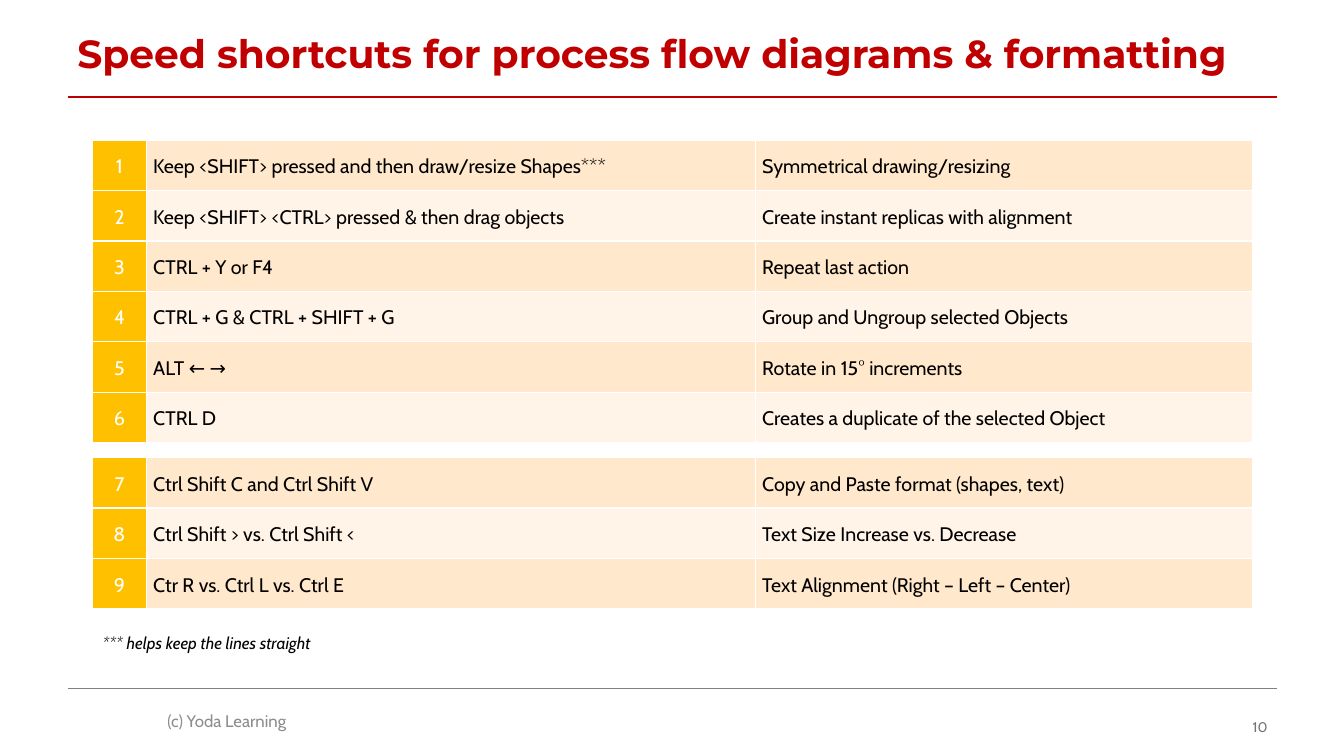
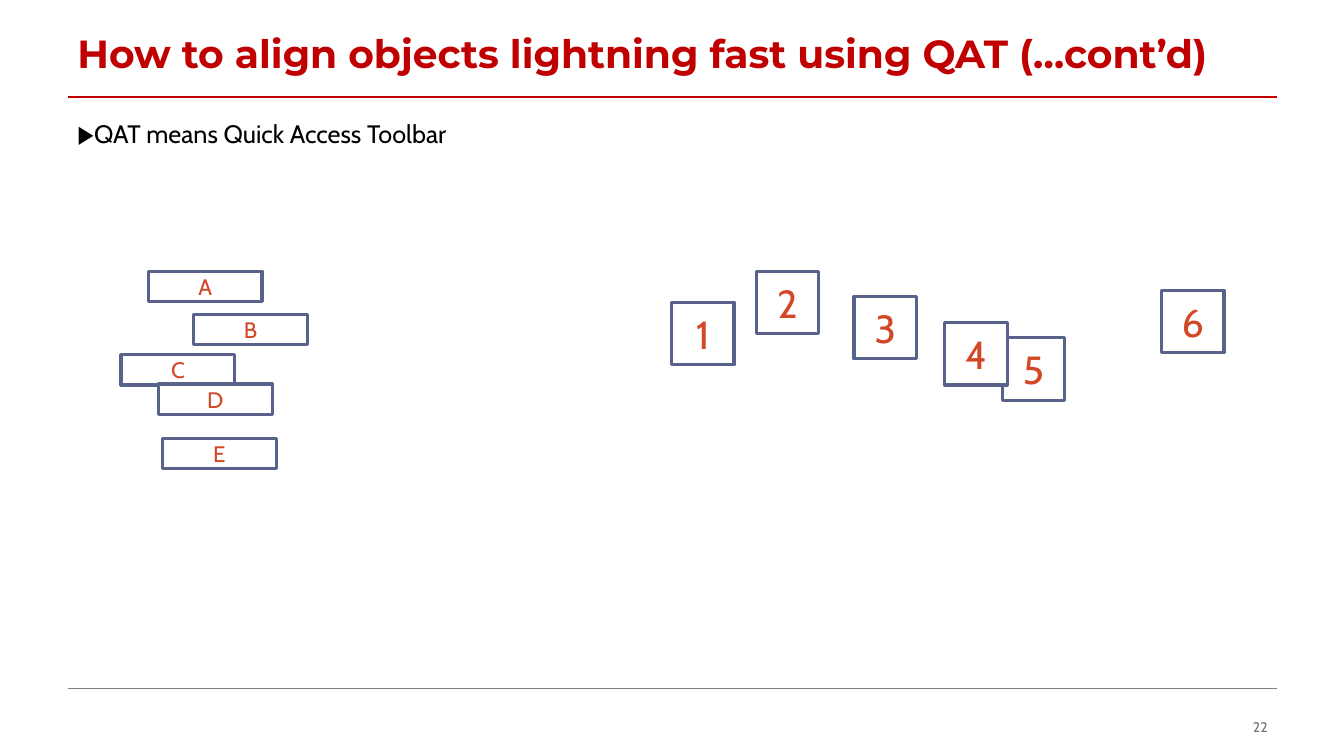
from lxml import etree
from pptx import Presentation
from pptx.dml.color import RGBColor
from pptx.enum import shapes, text
from pptx.oxml import ns
from pptx.util import Inches, Pt

HUES = {
    "red": "C00000", "grey": "808080", "page": "737373", "foot": "8C8C8C",
    "black": "000000", "white": "FFFFFF", "gold": "FFC000",
    "dark": "FFE8CC", "light": "FFF4E7", "edge": "58628B", "rust": "D24726",
}
LEFT, CENTER, RIGHT = (
    text.PP_ALIGN.LEFT, text.PP_ALIGN.CENTER, text.PP_ALIGN.RIGHT)
TOP, MIDDLE = text.MSO_ANCHOR.TOP, text.MSO_ANCHOR.MIDDLE
COLS = [0.53, 6.04, 4.93]
ROW = 0.5

DRAW = [
    ("Keep <SHIFT> pressed and then draw/resize Shapes***",
     "Symmetrical drawing/resizing"),
    ("Keep <SHIFT> <CTRL> pressed & then drag objects",
     "Create instant replicas with alignment"),
    ("CTRL + Y or F4", "Repeat last action"),
    ("CTRL + G & CTRL + SHIFT + G", "Group and Ungroup selected Objects"),
    ("ALT ← →", "Rotate in 15° increments"),
    ("CTRL D", "Creates a duplicate of the selected Object"),
]
FORMAT = [
    ("Ctrl Shift C and Ctrl Shift V", "Copy and Paste format (shapes, text)"),
    ("Ctrl Shift > vs. Ctrl Shift <", "Text Size Increase vs. Decrease"),
    ("Ctr R vs. Ctrl L vs. Ctrl E", "Text Alignment (Right – Left – Center)"),
]
BARS = [("A", 1.47, 2.69), ("B", 1.92, 3.12), ("C", 1.2, 3.52),
        ("D", 1.57, 3.81), ("E", 1.61, 4.35)]
TILES = [("1", 6.66, 3), ("6", 11.52, 2.88), ("5", 9.94, 3.35),
         ("4", 9.37, 3.2), ("3", 8.47, 2.94), ("2", 7.5, 2.69)]


def tint(name):
    return RGBColor.from_string(HUES[name])


def paint(item, name):
    item.fill.solid()
    item.fill.fore_color.rgb = tint(name)


def write(frame, words, size=14, font="Cabin", hue="black", bold=False,
          slant=False, align=LEFT, space=None):
    para = frame.paragraphs[0]
    para.alignment = align
    para.line_spacing = space
    run = para.add_run()
    run.text = words
    face = run.font
    face.name, face.size = font, Pt(size)
    face.bold, face.italic = bold, slant
    face.color.rgb = tint(hue)


def label(slide, words, spot, anchor=MIDDLE, wrap=True, **style):
    frame = slide.shapes.add_textbox(*map(Inches, spot)).text_frame
    frame.word_wrap = wrap
    frame.vertical_anchor = anchor
    write(frame, words, **style)


def rule(slide, y, hue, width):
    line = slide.shapes.add_connector(
        shapes.MSO_CONNECTOR.STRAIGHT,
        Inches(0.67), Inches(y), Inches(12.67), Inches(y))
    line.line.color.rgb = tint(hue)
    line.line.width = Pt(width)
    etree.SubElement(line._element.spPr, ns.qn("a:effectLst"))


def box(slide, words, spot, size):
    shape = slide.shapes.add_shape(
        shapes.MSO_SHAPE.RECTANGLE, *map(Inches, spot))
    shape.shadow.inherit = False
    paint(shape, "white")
    shape.line.color.rgb = tint("edge")
    shape.line.width = Pt(2.25)
    shape.text_frame.vertical_anchor = MIDDLE
    write(shape.text_frame, words, size=size, hue="rust", align=CENTER)


def border(cell):
    props = cell._tc.get_or_add_tcPr()
    for side in ("lnL", "lnR", "lnT", "lnB"):
        line = etree.SubElement(props, ns.qn("a:" + side), w=str(Pt(1)))
        fill = etree.SubElement(line, ns.qn("a:solidFill"))
        etree.SubElement(fill, ns.qn("a:srgbClr"), val=HUES["white"])


def fill_cell(cell, words, fill, **style):
    border(cell)
    paint(cell, fill)
    cell.vertical_anchor = MIDDLE
    cell.margin_left = cell.margin_right = Inches(0.07)
    cell.margin_top, cell.margin_bottom = Inches(0.01), 0
    write(cell.text_frame, words, space=1.07, **style)


def grid(slide, top, rows, first):
    spot = (0.92, top, sum(COLS), ROW * len(rows))
    table = slide.shapes.add_table(
        len(rows), len(COLS), *map(Inches, spot)).table
    table.first_row = table.horz_banding = False
    for col, width in zip(table.columns, COLS):
        col.width = Inches(width)
    for r, pair in enumerate(rows):
        table.rows[r].height = Inches(ROW)
        fill_cell(table.cell(r, 0), str(first + r), "gold",
                  hue="white", align=CENTER)
        for c, words in enumerate(pair, 1):
            fill_cell(table.cell(r, c), words, "light" if r % 2 else "dark")


def start(deck, title, page):
    slide = deck.slides.add_slide(deck.slide_layouts[6])
    rule(slide, 0.96, "red", 1.5)
    rule(slide, 6.83, "grey", 0.25)
    label(slide, title, (0.67, 0.22, 12, 0.67), size=28,
          font="Montserrat", hue="red", bold=True, space=0.9)
    label(slide, page, (9.67, 7.08, 3, 0.27), size=10, hue="page",
          align=RIGHT)
    return slide


def shortcuts(deck):
    slide = start(
        deck, "Speed shortcuts for process flow diagrams & formatting", "10")
    label(slide, "(c) Yoda Learning", (0, 6.95, 4.5, 0.4), size=12,
          hue="foot", align=CENTER)
    grid(slide, 1.39, DRAW, 1)
    label(slide, "*** helps keep the lines straight", (0.92, 6.23, 2.45, 0.3),
          anchor=TOP, wrap=False, size=12, slant=True)
    grid(slide, 4.54, FORMAT, len(DRAW) + 1)


def align(deck):
    slide = start(
        deck, "How to align objects lightning fast using QAT (…cont’d)", "22")
    label(slide, "▶QAT means Quick Access Toolbar", (0.67, 1.12, 9.34, 0.4),
          anchor=TOP, size=18)
    for items, width, height, size in (
            (BARS, 1.13, 0.3, 16), (TILES, 0.62, 0.62, 28)):
        for words, x, y in items:
            box(slide, words, (x, y, width, height), size)


def main():
    deck = Presentation()
    deck.slide_width, deck.slide_height = Inches(13.33), Inches(7.5)
    shortcuts(deck)
    align(deck)
    deck.save("out.pptx")


if __name__ == "__main__":
    main()
